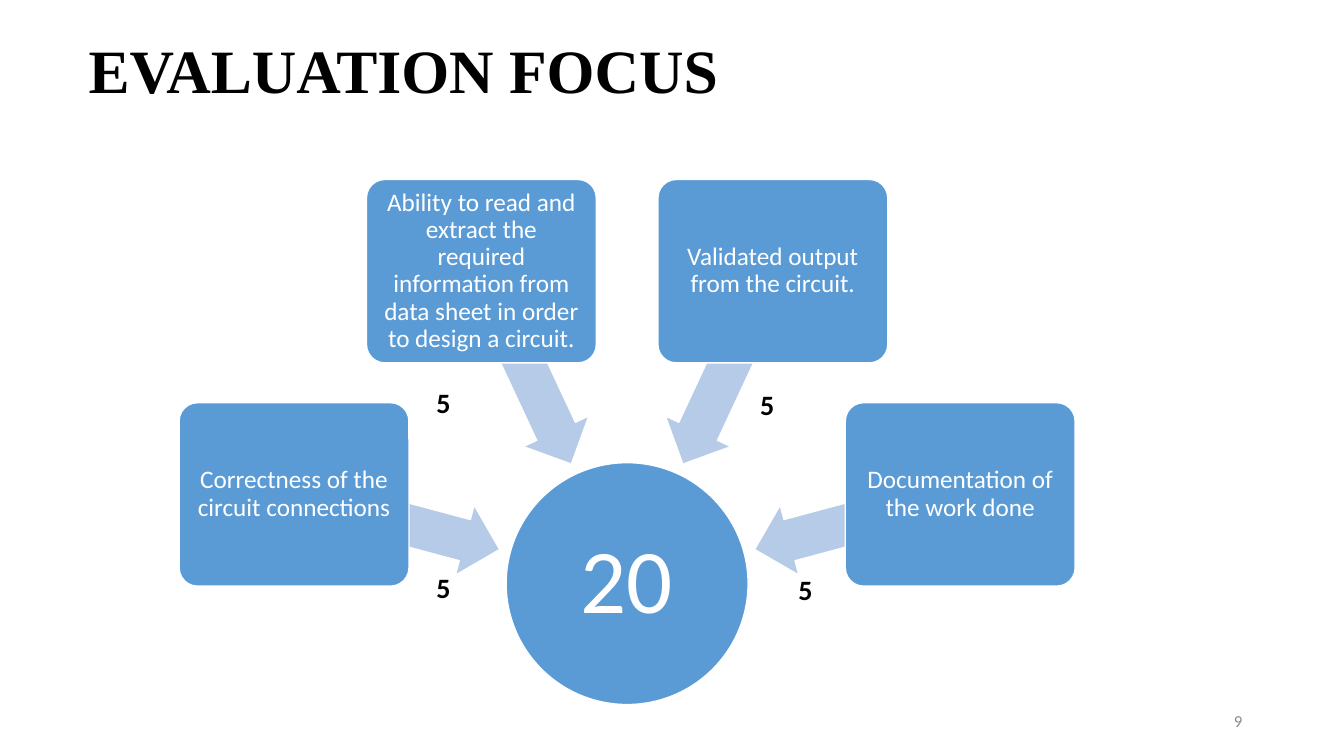
import math
import pptx
import pptx.util
import pptx.dml.color
import pptx.enum.shapes
import pptx.enum.text
from dataclasses import dataclass

Inches = pptx.util.Inches
Pt = pptx.util.Pt
Kind = pptx.enum.shapes.MSO_SHAPE
Align = pptx.enum.text.PP_ALIGN
Anchor = pptx.enum.text.MSO_ANCHOR


@dataclass(frozen=True)
class Theme:
    black: str = "000000"
    white: str = "FFFFFF"
    grey: str = "8C8C8C"
    blue: str = "5B9BD5"
    pale: str = "B5CBE7"
    serif: str = "Times New Roman"
    sans: str = "Calibri"
    title: int = 44
    total: int = 65
    body: int = 18
    mark: int = 20
    small: int = 12


THEME = Theme()
HUB = (6.22, 5.79)
FOCUS = [
    (195, "Correctness of the circuit connections"),
    (245, "Ability to read and extract the required information "
          "from data sheet in order to design a circuit."),
    (295, "Validated output from the circuit."),
    (345, "Documentation of the work done"),
]
MARKS = [(4.23, 3.78), (4.23, 5.61), (7.44, 3.8), (7.82, 5.63)]


def color(code):
    return pptx.dml.color.RGBColor.from_string(code)


def assign(item, values):
    for name, value in values.items():
        setattr(item, name, value)


def write(shape, text, size, tint, face=THEME.sans, bold=False,
          frame=None, para=None):
    body = shape.text_frame
    body.text = text
    assign(body, {"word_wrap": True, **(frame or {})})
    line = body.paragraphs[0]
    assign(line, para or {})
    font = line.runs[0].font
    assign(font, {"name": face, "size": Pt(size), "bold": bold})
    font.color.rgb = color(tint)


def place(angle, reach):
    turn = math.radians(angle)
    return HUB[0] + reach * math.cos(turn), HUB[1] + reach * math.sin(turn)


def add_form(slide, kind, center, size, fill, edge=None):
    left, top = (mid - span / 2 for mid, span in zip(center, size))
    shape = slide.shapes.add_shape(
        kind, Inches(left), Inches(top), *map(Inches, size))
    shape.shadow.inherit = False
    shape.fill.solid()
    shape.fill.fore_color.rgb = color(fill)
    if edge:
        shape.line.color.rgb = color(edge)
        shape.line.width = Pt(1)
    else:
        shape.line.fill.background()
    return shape


def add_node(slide, kind, center, size, text, points):
    node = add_form(slide, kind, center, size, THEME.blue, THEME.white)
    pad = Inches(0.1)
    sides = ("margin_left", "margin_right", "margin_top", "margin_bottom")
    write(node, text, points, THEME.white,
          frame={"vertical_anchor": Anchor.MIDDLE,
                 **dict.fromkeys(sides, pad)},
          para={"alignment": Align.CENTER, "line_spacing": 0.9})
    return node


def add_arrow(slide, angle):
    arrow = add_form(slide, Kind.LEFT_ARROW, place(angle, 2.37),
                     (2.1, 0.68), THEME.pale)
    arrow.rotation = angle
    arrow.adjustments[0] = 0.6
    arrow.adjustments[1] = 0.5


def add_label(slide, box, text, size, tint, **style):
    label = slide.shapes.add_textbox(*map(Inches, box))
    write(label, text, size, tint, **style)


def add_title(slide, text):
    title = slide.shapes.title
    names = ("left", "top", "width", "height")
    assign(title, dict(zip(names, map(Inches, (0.78, 0, 11.5, 1.45)))))
    write(title, text, THEME.title, THEME.black, THEME.serif, True,
          {"vertical_anchor": Anchor.MIDDLE},
          {"alignment": Align.LEFT, "line_spacing": 0.9})


def main():
    deck = pptx.Presentation()
    assign(deck, {"slide_width": Inches(13.33), "slide_height": Inches(7.5)})
    slide = deck.slides.add_slide(deck.slide_layouts[5])
    add_title(slide, "EVALUATION FOCUS")
    add_label(slide, (9.42, 6.95, 3, 0.4), "9", THEME.small, THEME.grey,
              frame={"vertical_anchor": Anchor.MIDDLE},
              para={"alignment": Align.RIGHT})
    add_node(slide, Kind.OVAL, HUB, (2.4, 2.4), "20", THEME.total)
    for angle, text in FOCUS:
        add_arrow(slide, angle)
        box = add_node(slide, Kind.ROUNDED_RECTANGLE, place(angle, 3.42),
                       (2.28, 1.82), text, THEME.body)
        box.adjustments[0] = 0.1
    for left, top in MARKS:
        add_label(slide, (left, top, 0.75, 0.44), "5", THEME.mark,
                  THEME.black, bold=True)
    deck.save("out.pptx")


if __name__ == "__main__":
    main()
